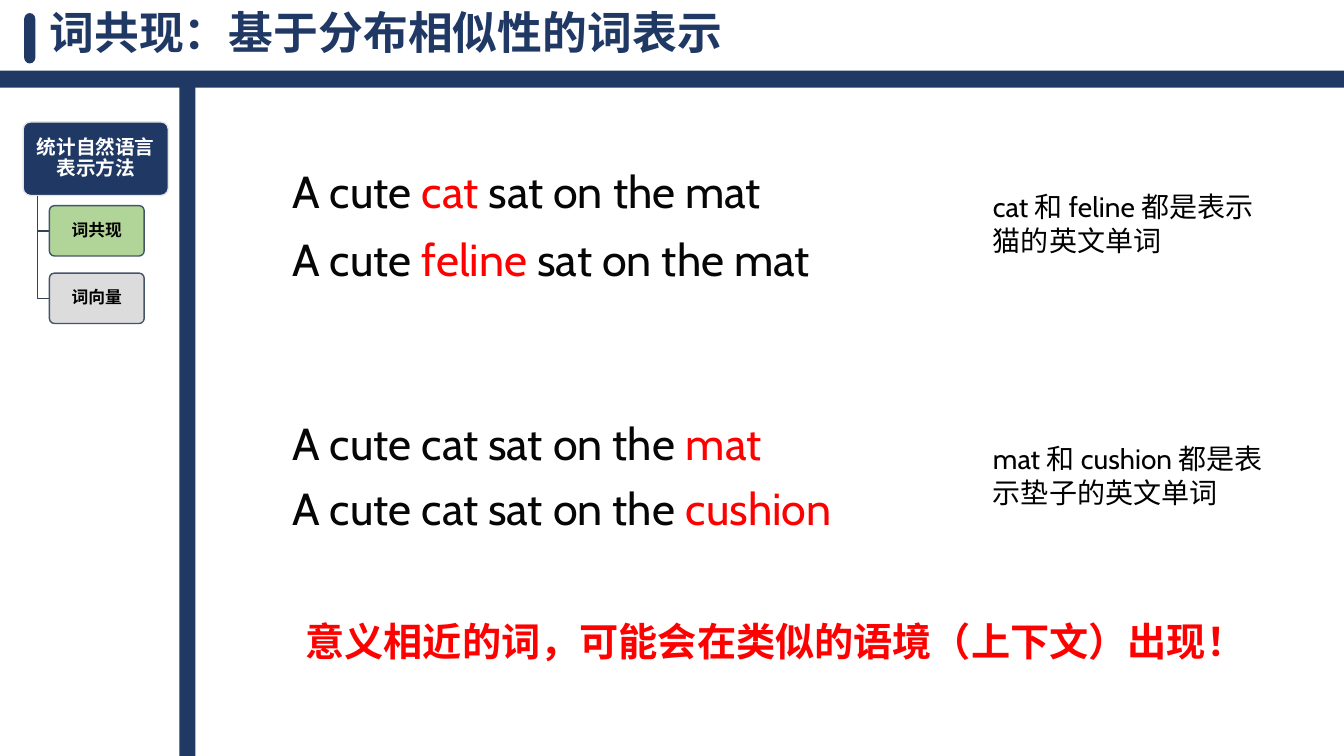
from lxml import etree
from pptx import Presentation
from pptx import util as u
from pptx.dml.color import RGBColor
from pptx.enum import shapes, text
from pptx.oxml.ns import qn

NAVY, RED, INK, BLACK = "203864", "FF0000", "060607", "000000"
WIDTH, HEIGHT = 13.33, 7.5

# Content
TITLE = "词共现：基于分布相似性的词表示"
EXAMPLES = [  # top, width, runs
    (1.58, 6.17, [("A cute ", INK), ("cat", RED), (" sat on the mat", INK)]),
    (2.25, 7.67, [("A cute ", INK), ("feline", RED), (" sat on the mat", INK)]),
    (4.08, 6.17, [("A cute cat sat on the ", INK), ("mat", RED)]),
    (4.72, 7.67, [("A cute cat sat on the ", INK), ("cushion", RED)]),
]
NOTES = [
    (1.83, "cat 和 feline 都是表示猫的英文单词"),
    (4.33, "mat 和 cushion 都是表示垫子的英文单词"),
]
CONCLUSION = "意义相近的词，可能会在类似的语境（上下文）出现！"
TOPIC = "统计自然语言表示方法"
SUBTOPICS = [("词共现", "A9D18E"), ("词向量", "D9D9D9")]


def color(value):
    return RGBColor.from_string(value)


def inches(*lengths):
    return [u.Inches(length) for length in lengths]


def add_runs(para, runs, size, font, bold=False):
    for words, ink in runs:
        span = para.add_run()
        span.text = words
        span.font.size = u.Pt(size)
        span.font.name = font
        span.font.bold = bold
        span.font.color.rgb = color(ink)


def add_block(page, kind, area, fill, line=None, corner=None, opacity=None):
    block = page.shapes.add_shape(kind, *inches(*area))
    block.shadow.inherit = False
    block.fill.solid()
    block.fill.fore_color.rgb = color(fill)
    if opacity:
        tint = block.fill._xPr.find(qn("a:solidFill"))[0]
        etree.SubElement(tint, qn("a:alpha")).set("val", str(opacity * 1000))
    if line:
        block.line.color.rgb = color(line)
        block.line.width = u.Pt(1)
    else:
        block.line.fill.background()
    if corner is not None:
        block.adjustments[0] = corner
    return block


def add_text(page, area, runs, size, bold=False, centred=False):
    box = page.shapes.add_textbox(*inches(*area))
    box.text_frame.word_wrap = True
    para = box.text_frame.paragraphs[0]
    if centred:
        para.alignment = text.PP_ALIGN.CENTER
    add_runs(para, runs, size, "Cabin", bold)


def add_node(page, area, words, size, ink, fill, line, opacity=None):
    node = add_block(page, shapes.MSO_SHAPE.ROUNDED_RECTANGLE, area,
                     fill, line, 0.1, opacity)
    frame = node.text_frame
    frame.word_wrap = True
    frame.vertical_anchor = text.MSO_ANCHOR.MIDDLE
    frame.margin_left = frame.margin_right = u.Inches(0.05)
    frame.margin_top = frame.margin_bottom = u.Inches(0.04)
    para = frame.paragraphs[0]
    para.alignment = text.PP_ALIGN.CENTER
    para.line_spacing = 0.9
    add_runs(para, [(words, ink)], size, "Arial", True)


def add_branch(page, left, top, right, bottom):
    builder = page.shapes.build_freeform(*inches(left, top))
    builder.add_line_segments([inches(left, bottom), inches(right, bottom)], close=False)
    branch = builder.convert_to_shape()
    branch.shadow.inherit = False
    branch.fill.background()
    branch.line.color.rgb = color("364355")
    branch.line.width = u.Pt(1)


def main():
    deck = Presentation()
    deck.slide_width, deck.slide_height = inches(WIDTH, HEIGHT)
    page = deck.slides.add_slide(deck.slide_layouts[5])

    # Frame bars and title
    bar, pill = shapes.MSO_SHAPE.RECTANGLE, shapes.MSO_SHAPE.ROUNDED_RECTANGLE
    add_block(page, bar, (0, 0.7, WIDTH, 0.17), NAVY)
    add_block(page, bar, (1.78, 0.75, 0.16, HEIGHT - 0.75), NAVY)
    add_block(page, pill, (0.24, 0.13, 0.11, 0.5), NAVY, corner=0.5)
    title = page.shapes.title
    title.left, title.top, title.width, title.height = inches(0.39, 0.1, 11.5, 0.5)
    title.text_frame.vertical_anchor = text.MSO_ANCHOR.MIDDLE
    para = title.text_frame.paragraphs[0]
    para.alignment = text.PP_ALIGN.LEFT
    para.line_spacing = 0.9
    add_runs(para, [(TITLE, NAVY)], 32, "Arial", True)

    # Example sentences, notes and conclusion
    for top, width, runs in EXAMPLES:
        add_text(page, (2.8, top, width, 0.64), runs, 32)
    for top, words in NOTES:
        add_text(page, (9.75, top, 2.9, 0.77), [(words, BLACK)], 20)
    add_text(page, (2.74, 6.08, 9.9, 0.57), [(CONCLUSION, RED)], 28, True, True)

    # Topic tree
    left, top, width, height = topic = (0.23, 1.21, 1.44, 0.73)
    add_node(page, topic, TOPIC, 14, "FFFFFF", NAVY, "E7E6E6")
    trunk, node_left, node_height = 0.37, 0.49, 0.5
    for row, (words, fill) in enumerate(SUBTOPICS):
        node_top = 2.04 + row * 0.67
        add_branch(page, trunk, top + height, node_left, node_top + node_height / 2)
        add_node(page, (node_left, node_top, 0.94, node_height), words, 12,
                 BLACK, fill, "44546A", 90)

    deck.save("out.pptx")


if __name__ == "__main__":
    main()
